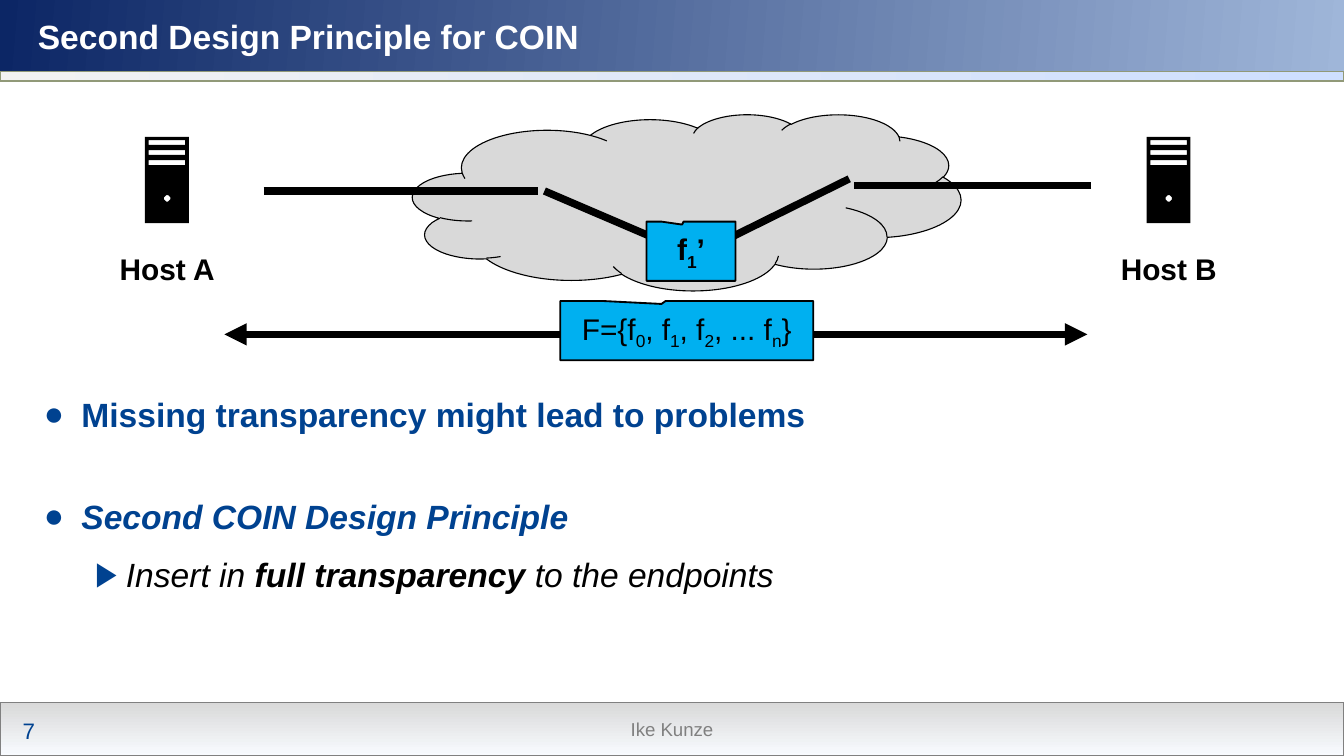
"""Build the slide on the second design principle for COIN."""
from dataclasses import dataclass
from math import cos, pi, sin

from lxml.etree import SubElement
from pptx import Presentation
from pptx.dml.color import RGBColor
from pptx.enum.shapes import MSO_CONNECTOR, MSO_SHAPE
from pptx.enum.text import MSO_ANCHOR, MSO_AUTO_SIZE, PP_ALIGN
from pptx.oxml.ns import qn
from pptx.util import Cm, Pt


@dataclass(frozen=True)
class Theme:
    font: str = "Arial"
    blue: str = "004290"
    black: str = "000000"
    white: str = "FFFFFF"
    gray: str = "808080"
    cloud: str = "D9D9D9"
    function: str = "00B0F0"
    strip_line: str = "919978"
    header: tuple = ("0C2665", "9FB6D9", 355)
    strip: tuple = ("F2F2F2", "CEDFFF", 0)
    footer: tuple = ("D9D9D9", "F8FBFF", 270)
    heading_size: int = 18
    label_size: int = 16
    page_size: int = 12
    author_size: int = 10


theme = Theme()


def add_box(kind, frame, fill, line=None, width=0.75):
    box = slide.shapes.add_shape(kind, *map(Cm, frame))
    box.shadow.inherit = False
    if isinstance(fill, tuple):
        box.fill.gradient()
        box.fill.gradient_angle = fill[2]
        for stop, color in zip(box.fill.gradient_stops, fill):
            stop.color.rgb = RGBColor.from_string(color)
    else:
        box.fill.solid()
        box.fill.fore_color.rgb = RGBColor.from_string(fill)
    if line:
        box.line.color.rgb = RGBColor.from_string(line)
        box.line.width = Pt(width)
    else:
        box.line.fill.background()
    return box


def write(paragraph, pieces, size, color, align=PP_ALIGN.LEFT):
    paragraph.alignment = align
    for text, style in pieces:
        run = paragraph.add_run()
        run.text = text
        run.font.name = theme.font
        run.font.size = Pt(size)
        run.font.color.rgb = RGBColor.from_string(color)
        run.font.bold = "bold" in style
        run.font.italic = "italic" in style
        if "sub" in style:
            run._r.get_or_add_rPr().set("baseline", "-25000")


prs = Presentation()
prs.slide_width, prs.slide_height = Cm(25.4), Cm(14.29)
slide = prs.slides.add_slide(prs.slide_layouts[5])

for frame, fill, line in (
    ((0, 0, 25.4, 1.75), theme.header, None),
    ((0, 1.4, 25.4, 11.88), theme.white, None),
    ((0, 1.35, 25.4, 0.18), theme.strip, theme.strip_line),
    ((0, 13.28, 25.4, 1.01), theme.footer, theme.gray),
):
    add_box(MSO_SHAPE.RECTANGLE, frame, fill, line)

title = slide.shapes.title
slide.shapes._spTree.append(title._element)
title.left, title.top, title.width, title.height = map(Cm, (0.46, 0.2, 24.33, 0.97))
title.text_frame.vertical_anchor = MSO_ANCHOR.MIDDLE
title.text_frame.auto_size = MSO_AUTO_SIZE.NONE
write(title.text_frame.paragraphs[0], [("Second Design Principle for COIN", "bold")],
      theme.heading_size, theme.white)

page = slide.shapes.add_textbox(Cm(0.18), Cm(13.44), Cm(0.79), Cm(0.76)).text_frame
page.margin_right = 0
write(page.paragraphs[0], [("7", "")], theme.page_size, theme.blue)

author = slide.shapes.add_textbox(Cm(5.74), Cm(13.28), Cm(13.92), Cm(1.02)).text_frame
author.word_wrap = True
author.vertical_anchor = MSO_ANCHOR.MIDDLE
write(author.paragraphs[0], [("Ike Kunze", "")], theme.author_size, theme.gray, PP_ALIGN.CENTER)

body = slide.shapes.add_textbox(Cm(0.58), Cm(7.24), Cm(24.33), Cm(5.69)).text_frame
body.word_wrap = True
points = (
    ([("Missing transparency might lead to problems", "bold")], 0, 0, theme.blue),
    ([("Second COIN Design Principle", "bold italic")], 0, 31, theme.blue),
    ([("Insert in ", "italic"), ("full transparency", "bold italic"),
      (" to the endpoints", "italic")], 1, 5, theme.black),
)
for index, (pieces, level, gap, color) in enumerate(points):
    point = body.add_paragraph() if index else body.paragraphs[0]
    point.level = level
    point.line_spacing = (1.1, 1.2)[level]
    point.space_before = Pt(gap)
    properties = point._p.get_or_add_pPr()
    properties.set("marL", str(Cm((0.71, 1.55)[level])))
    properties.set("indent", str(-Cm((0.71, 0.58)[level])))
    bullet_color = SubElement(properties, qn("a:buClr"))
    SubElement(bullet_color, qn("a:srgbClr"), val=theme.blue)
    SubElement(properties, qn("a:buFont"), typeface=theme.font)
    SubElement(properties, qn("a:buChar"), char="●▶"[level])
    write(point, pieces, theme.heading_size, color)

add_box(MSO_SHAPE.CLOUD, (7.8, 2.16, 10.36, 3.33), theme.cloud, theme.black, 0.6)

dot = [(42 + 6 * cos(step * pi / 12), 116 - 6 * sin(step * pi / 12)) for step in range(24)]
slots = [[(7, top), (7, top + 9), (76, top + 9), (76, top)] for top in (44, 25, 6)]
for name, left in (("Host A", 2.74), ("Host B", 21.67)):
    outline = slide.shapes.build_freeform(0, 0, scale=Cm(0.01))
    outline.add_line_segments([(83, 0), (83, 163), (0, 163)])
    for hole in (dot, *slots):
        outline.move_to(*hole[0])
        outline.add_line_segments(hole[1:])
    server = outline.convert_to_shape(Cm(left), Cm(2.59))
    server.shadow.inherit = False
    server.fill.solid()
    server.fill.fore_color.rgb = RGBColor.from_string(theme.black)
    server.line.fill.background()

    host = add_box(MSO_SHAPE.RECTANGLE, (left - 0.66, 4.65, 2.16, 0.84), theme.white).text_frame
    host.margin_left = host.margin_right = Cm(0.15)
    host.margin_top = host.margin_bottom = Cm(0.08)
    host.vertical_anchor = MSO_ANCHOR.TOP
    write(host.paragraphs[0], [(name, "bold")], theme.label_size, theme.black, PP_ALIGN.CENTER)

for ends, arrows in (
    ((4.98, 3.61, 10.16, 3.61), ()),
    ((13.18, 4.85, 10.29, 3.61), ()),
    ((13.18, 4.8, 16.05, 3.38), ()),
    ((20.62, 3.51, 16.15, 3.51), ()),
    ((4.24, 6.32, 20.55, 6.32), ("a:headEnd", "a:tailEnd")),
):
    link = slide.shapes.add_connector(MSO_CONNECTOR.STRAIGHT, *map(Cm, ends))
    link.line.color.rgb = RGBColor.from_string(theme.black)
    link.line.width = Pt(4)
    for arrow in arrows:
        SubElement(link.line._get_or_add_ln(), qn(arrow), type="triangle")
    SubElement(link._element.spPr, qn("a:effectLst"))

for frame, pieces in (
    ((12.22, 4.19, 1.68, 1.12), [("f", "bold"), ("1", "bold sub"), ("’", "bold")]),
    ((10.59, 5.69, 4.78, 1.12),
     [("F={f", ""), ("0", "sub"), (", f", ""), ("1", "sub"), (", f", ""), ("2", "sub"),
      (", ... f", ""), ("n", "sub"), ("}", "")]),
):
    function = add_box(MSO_SHAPE.RECTANGULAR_CALLOUT, frame, theme.function, theme.black, 1)
    function.adjustments[0], function.adjustments[1] = -0.1, -0.45
    formula = function.text_frame
    formula.margin_left = formula.margin_right = formula.margin_top = formula.margin_bottom = 0
    formula.vertical_anchor = MSO_ANCHOR.MIDDLE
    write(formula.paragraphs[0], pieces, theme.label_size, theme.black, PP_ALIGN.CENTER)

prs.save("out.pptx")
